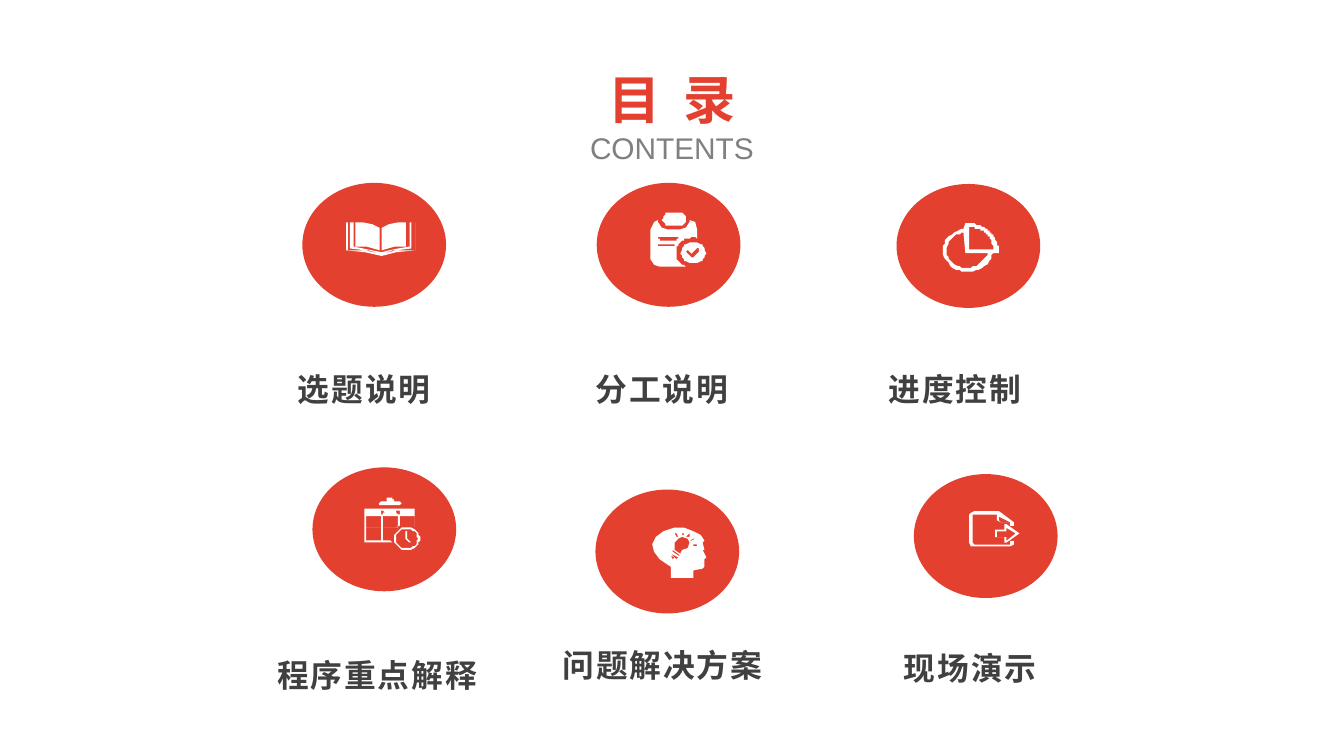
from math import cos, radians, sin

from lxml.etree import SubElement
from pptx import Presentation
from pptx.dml.color import RGBColor
from pptx.enum.shapes import MSO_SHAPE as Preset
from pptx.enum.text import MSO_ANCHOR as Anchor, PP_ALIGN as Align
from pptx.oxml.ns import qn
from pptx.util import Pt

COLORS = {"red": "E4402F", "white": "FFFFFF", "grey": "808080", "dark": "404040"}
CJK_FONT = "Noto Sans CJK SC"
DISC_SIZE = (77, 66.4)


# Outline helpers: each returns a list of points
def arc(center_x, center_y, radius_x, radius_y, start=0, end=360, steps=32):
    angles = [radians(start + (end - start) * i / steps) for i in range(steps + 1)]
    return [(center_x + radius_x * cos(a), center_y + radius_y * sin(a)) for a in angles]


def box(left, top, width, height):
    right, bottom = left + width, top + height
    return [(left, top), (right, top), (right, bottom), (left, bottom)]


def rounded_box(left, top, width, height, radius):
    right, bottom = left + width - radius, top + height - radius
    corners = [(right, bottom), (left + radius, bottom),
               (left + radius, top + radius), (right, top + radius)]
    return [point for i, (x, y) in enumerate(corners)
            for point in arc(x, y, radius, radius, 90 * i, 90 * i + 90, 6)]


def mirrored(points, axis):
    return points + [(2 * axis - x, y) for x, y in reversed(points)]


# Icons: outlines in points; inner outlines are holes
def book():
    axis = 18.7
    page = [(18.1, 3.6), (14, 1.6), (9, 0.7), (5, 0.7), (5, 13.7), (11, 14.1), (18.1, 15.8)]
    sheets = [(axis, 17.3), (14, 15.6), (9, 14.6), (3.6, 14.4), (3.6, 0.7),
              (2.2, 0.7), (2.2, 15.1), (10, 15.8), (axis, 18)]
    cover = [(axis, 18.4), (12, 16.5), (6, 15.8), (0.7, 15.8), (0.7, 1.4),
             (0, 1.4), (0, 16.2), (10, 16.9), (axis, 18.9)]
    right_page = [(2 * axis - x, y) for x, y in page]
    return [page, right_page, mirrored(sheets, axis), mirrored(cover, axis)]


def clipboard():
    board = [(4.3, 3.6), (4.3, 5), (6, 8), (9.4, 9.4), (15.8, 9.4), (19, 8),
             (20.9, 5), (20.9, 3.6), (23.8, 5), (25.2, 8.6),
             *arc(23, 21.6, 9.4, 8.2, -76, -247),
             (5, 29.3), (1.5, 28), (0, 25), (0, 8.6), (1.5, 5)]
    tick = [(19.2, 21.2), (20.2, 20.4), (22.3, 21.8), (25, 19.2), (26.4, 19.4),
            (26.4, 20.8), (23.4, 23.8), (21.6, 23.8)]
    return [rounded_box(6.5, 0, 12.5, 7.2, 3.5), board,
            rounded_box(4.3, 13, 10.4, 1.6, 0.8), rounded_box(4.3, 16.6, 8.3, 1.8, 0.9),
            arc(23, 21.6, 6.5, 5.8), tick]


def pie():
    ring = [(11.5, 0), *arc(13, 14.4, 16.7, 14.4, -90, 0), (29.7, 15.8),
            *arc(13.3, 14.4, 13.3, 11.5, 7, 262)]
    bowl = [(11.5, 15.8), *arc(13, 14.4, 11, 9.5, 8, 262)]
    wedge = [(14.4, 13.7), *arc(14.4, 13.7, 12.3, 11.5, -90, 0)]
    return [ring, bowl, wedge]


def calendar():
    frame = [(0, 6.4), (0.8, 5.8), (26.6, 5.8), (27.4, 6.4), (27.4, 15.8), (26.6, 15.8),
             (26.6, 10.1), (18.7, 10.1), (18.7, 15.4), (17.3, 16.4), (10.1, 16.4),
             (10.1, 23), (14.4, 23), (15.1, 24.3), (0.8, 24.3), (0, 23.6)]
    hand = [(22, 18.2), (23.2, 18.2), (23.2, 21.8), (25.2, 24), (24.4, 24.5), (22, 22.4)]
    cells = [box(1.3, 10.1, 8, 5.6), box(10.1, 10.1, 7.8, 5.6), box(1.3, 16.4, 8, 6.6)]
    clip = [(8.3, 4.3), (7.9, 3.2), (8.6, 2.1), *arc(13.7, 2.2, 2.2, 2.2, 180, 360),
            (18.9, 2.1), (19.5, 3.2), (19, 4.3)]
    dots = [arc(x, 7.9, 1, 1) for x in (9.6, 18.3)]
    return [clip, frame, *cells, *dots, arc(22.7, 22, 7.1, 6.2), arc(22.7, 22, 5.9, 5.1), hand]


def idea_head():
    head = [(10.1, 26.6), (10.4, 23.6), (9.6, 20.9), (4, 17), (0.8, 13), (0.4, 9),
            (2, 5.2), (6, 2), (11.5, 0.4), (17, 0.4), (22, 1.8), (26, 4.5), (28.1, 7.2),
            (27.4, 8.2), (28.1, 11.5), (27.4, 12.4), (28.9, 16.3), (27.6, 17),
            (28.1, 20.6), (26.6, 22.3), (21.6, 22.9), (22, 26.6)]
    bulb = [(12.2, 12.2), (12.2, 8), (13.6, 6.2), (16.2, 5.4), (18.8, 6.3),
            (20, 8.4), (19.4, 10.8), (16.4, 12.2), (15.1, 13.7)]
    base = [[(11.3, 12.4), (14.8, 14.7), (14.2, 15.3), (10.7, 13.1)],
            [(10.4, 13.8), (13.8, 15.9), (13.1, 16.6), (9.8, 14.5)],
            [(10.1, 15.2), (12.4, 16.5), (11.2, 16.8)]]
    rays = [[(19.6, 5), (20.4, 3.2), (19.6, 3), (18.2, 4.7)],
            [(21, 7.2), (22.6, 6.2), (22.1, 5.6), (20.4, 6.6)],
            box(15.8, 2.7, 0.8, 1.8),
            [(13.7, 4.7), (12.7, 2.9), (11.8, 3.4), (13, 5)],
            box(21.6, 8.8, 2.2, 0.8)]
    return [head, bulb, *base, *rays]


def export_page():
    page = [(2.9, 0), (16, 0), (24.5, 6.3), (24.3, 7.7), (22.4, 7.5), (22.3, 6.5),
            (16.8, 6.5), (15.1, 5), (15.1, 1.6), (2.9, 1.6), (2, 2.2), (2, 17.2),
            (2.9, 17.8), (21.6, 17.8), (22.3, 17.2), (22.5, 15.9), (24.3, 15.9),
            (24.3, 17.5), (22.5, 19.3), (2.9, 19.3), (0.6, 18.6), (0, 17.2), (0, 2.2), (0.8, 0.6)]
    fold = [(15.9, 2.7), (15.9, 5), (16.8, 5.8), (21.6, 5.8)]
    arrow = [(19.4, 7.3), (20, 7.2), (26.6, 12.2), (20, 17.2), (19.4, 17),
             (19.4, 14.3), (13.8, 14.3), (13.8, 10.2), (19.4, 10.2)]
    arrow_hole = [(20.3, 8.7), (25, 12.2), (20.3, 15.7), (20.3, 13.5),
                  (14.9, 13.5), (14.9, 11), (20.3, 11)]
    return [page, fold, arrow, arrow_hole]


def add_run(paragraph, text, size=17, font=CJK_FONT, color="dark", bold=True, spacing=0):
    run = paragraph.add_run()
    run.text = text
    run.font.size, run.font.name, run.font.bold = Pt(size), font, bold
    run.font.color.rgb = RGBColor.from_string(COLORS[color])
    properties = run.font._element
    SubElement(properties, qn("a:ea")).set("typeface", CJK_FONT)
    if spacing:
        properties.set("spc", str(spacing * 100))


class SlideBuilder:
    def __init__(self, slide):
        self.slide = slide

    def paint(self, shape, color):
        shape.shadow.inherit = False
        shape.fill.solid()
        shape.fill.fore_color.rgb = RGBColor.from_string(COLORS[color])
        shape.line.fill.background()

    def disc(self, left, top):
        width, height = DISC_SIZE
        self.paint(self.slide.shapes.add_shape(
            Preset.OVAL, Pt(left), Pt(top), Pt(width), Pt(height)), "red")

    def icon(self, left, top, outlines):
        first, *others = outlines
        builder = self.slide.shapes.build_freeform(*first[0], scale=Pt(1))
        builder.add_line_segments(first[1:])
        for outline in others:
            builder.move_to(*outline[0])
            builder.add_line_segments(outline[1:])
        self.paint(builder.convert_to_shape(Pt(left), Pt(top)), "white")

    def text(self, left, top, width, height, lines, line_spacing=None):
        frame = self.slide.shapes.add_textbox(Pt(left), Pt(top), Pt(width), Pt(height)).text_frame
        frame.word_wrap = True
        frame.vertical_anchor = Anchor.TOP
        for index, (text, style) in enumerate(lines):
            paragraph = frame.add_paragraph() if index else frame.paragraphs[0]
            paragraph.alignment = Align.CENTER
            paragraph.line_spacing = line_spacing
            add_run(paragraph, text, **style)


def main():
    presentation = Presentation()
    presentation.slide_width, presentation.slide_height = Pt(720), Pt(405)
    builder = SlideBuilder(presentation.slides.add_slide(presentation.slide_layouts[6]))

    # Heading
    builder.text(301.7, 32.4, 116.6, 60.5, [
        ("目 录", dict(size=28, font="Arial Narrow", color="red", spacing=3)),
        ("CONTENTS", dict(size=16, font="Arial", color="grey", bold=False))])

    # Topics: label, its left, top and width, disc corner, icon and its corner
    topics = [
        ("选题说明", (125.3, 184.3, 139.7), (162, 98), book, (185.4, 118.1)),
        ("分工说明", (291.6, 184.3, 126), (319.7, 98), clipboard, (348.5, 113.9)),
        ("进度控制", (448.6, 184.3, 126), (480.3, 98.6), pie, (505.2, 119.6)),
        ("程序重点解释", (139, 337.7, 126), (167.4, 250.4), calendar, (195.2, 266.6)),
        ("问题解决方案", (285.1, 332, 139.7), (319, 262.3), idea_head, (349.4, 282.6)),
        ("现场演示", (450, 334, 139.7), (489.6, 254), export_page, (519.1, 273.8)),
    ]
    for label, label_place, disc_corner, icon, icon_corner in topics:
        builder.disc(*disc_corner)
        builder.icon(*icon_corner, icon())
        builder.text(*label_place, 38.2, [(label, dict(spacing=1))], line_spacing=1.5)

    presentation.save("out.pptx")


if __name__ == "__main__":
    main()
